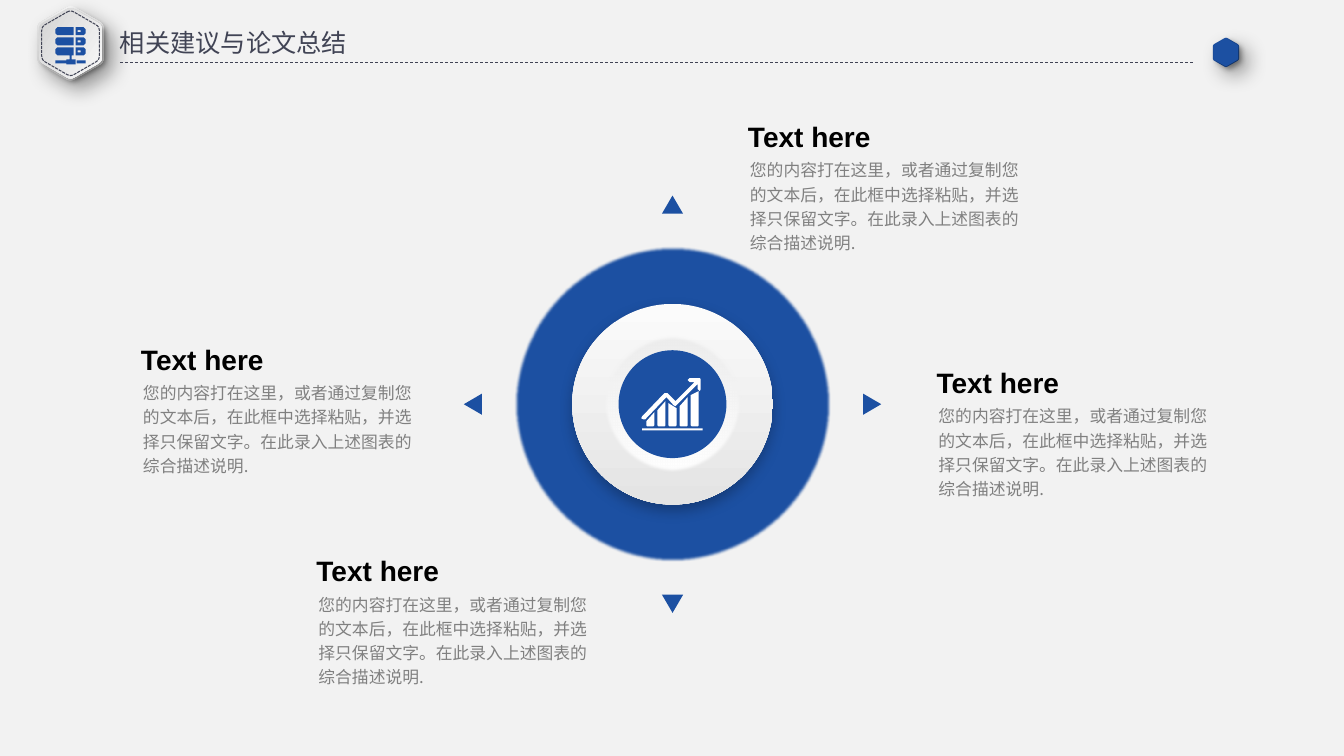
from math import cos, radians, sin

from lxml import etree
from pptx import Presentation
from pptx.dml.color import RGBColor
from pptx.enum import dml, shapes, text
from pptx.oxml import ns
from pptx.util import Inches, Pt

BLUE = RGBColor(0x1C, 0x50, 0xA2)
SLATE = RGBColor(0x41, 0x44, 0x55)
GRAY = RGBColor(0x80, 0x80, 0x80)
BLACK = RGBColor(0, 0, 0)
WHITE = RGBColor(0xFF, 0xFF, 0xFF)
PAPER = RGBColor(0xF2, 0xF2, 0xF2)
SILVER = RGBColor(0xD3, 0xD3, 0xD3)
PEARL = RGBColor(0xF9, 0xF9, 0xF9)
SNOW = RGBColor(0xFB, 0xFB, 0xFB)
MIST = RGBColor(0xE4, 0xE4, 0xE4)
CLOUD = RGBColor(0xEC, 0xEC, 0xEC)

HEAD = "Text here"
BODY = "您的内容打在这里，或者通过复制您的文本后，在此框中选择粘贴，并选择只保留文字。在此录入上述图表的综合描述说明."
HUB = (6.67, 4.01)
SPOTS = [(1.3, 3.33), (9.19, 3.56), (7.32, 1.12), (3.04, 5.43)]
FAR = (40, 15, 9, 45)
NEAR = (40, 4, 3, 45)


def box(x1, y1, x2, y2):
    return [(x1, y1), (x2, y1), (x2, y2), (x1, y2)]


def hexagon(cx, cy, size):
    """Points of a pointed-top hexagon with rounded corners."""
    tips = [(cx + size * sin(radians(a)), cy - size * cos(radians(a)))
            for a in range(0, 360, 60)]
    pts = []
    for i, tip in enumerate(tips):
        ends = tips[i - 1], tips[(i + 1) % 6]
        (ax, ay), (bx, by) = [(tip[0] + 0.12 * (e[0] - tip[0]),
                               tip[1] + 0.12 * (e[1] - tip[1])) for e in ends]
        for t in (0, 0.25, 0.5, 0.75, 1):
            p, q, r = (1 - t) ** 2, 2 * t * (1 - t), t * t
            pts.append((p * ax + q * tip[0] + r * bx, p * ay + q * tip[1] + r * by))
    return pts


class Deck:
    sans = "Noto Sans CJK SC"
    latin = "Arial"

    def __init__(self):
        self.prs = Presentation()
        self.prs.slide_width, self.prs.slide_height = Inches(13.33), Inches(7.5)
        self.slide = self.prs.slides.add_slide(self.prs.slide_layouts[5])
        self.slide.background.fill.solid()
        self.slide.background.fill.fore_color.rgb = PAPER

    def paint(self, shape, fill, angle=270, shadow=None, soft=0):
        """Fill with a colour, a pair of gradient colours or nothing; add effects."""
        shape.shadow.inherit = False
        shape.line.fill.background()
        if fill is None:
            shape.fill.background()
        elif isinstance(fill, RGBColor):
            shape.fill.solid()
            shape.fill.fore_color.rgb = fill
        else:
            shape.fill.gradient()
            shape.fill.gradient_angle = angle
            for stop, color in zip(shape.fill.gradient_stops, fill):
                stop.color.rgb = color
        fx = shape._element.spPr.find(ns.qn("a:effectLst"))
        if shadow:
            alpha, blur, dist, way = shadow
            drop = etree.SubElement(
                fx, ns.qn("a:outerShdw"), blurRad=str(Pt(blur)), dist=str(Pt(dist)),
                dir=str(way * 60000), algn="ctr", rotWithShape="0")
            tone = etree.SubElement(drop, ns.qn("a:srgbClr"), val="000000")
            etree.SubElement(tone, ns.qn("a:alpha"), val=str(alpha * 1000))
        if soft:
            etree.SubElement(fx, ns.qn("a:softEdge"), rad=str(Inches(soft)))
        return shape

    def outline(self, loops, fill, **look):
        """Draw closed polygons as one shape; inner loops become holes."""
        pen = None
        for loop in loops:
            pts = [(Inches(x), Inches(y)) for x, y in loop]
            if pen is None:
                pen = self.slide.shapes.build_freeform(*pts[0])
            else:
                pen.move_to(*pts[0])
            pen.add_line_segments(pts[1:], close=True)
        return self.paint(pen.convert_to_shape(), fill, **look)

    def preset(self, kind, mid, w, h, fill, turn=0, **look):
        shape = self.slide.shapes.add_shape(
            kind, Inches(mid[0] - w / 2), Inches(mid[1] - h / 2), Inches(w), Inches(h))
        shape.rotation = turn
        return self.paint(shape, fill, **look)

    def disc(self, size, fill, **look):
        self.preset(shapes.MSO_SHAPE.OVAL, HUB, size, size, fill, **look)

    def dash(self, line, width, style):
        line.color.rgb = SLATE
        line.width = Pt(width)
        line.dash_style = style

    def rule(self, x1, x2, y):
        line = self.slide.shapes.add_connector(
            shapes.MSO_CONNECTOR.STRAIGHT, Inches(x1), Inches(y), Inches(x2), Inches(y))
        self.dash(line.line, 0.5, dml.MSO_LINE.DASH)
        etree.SubElement(line._element.spPr, ns.qn("a:effectLst"))

    def letter(self, shape, at, words, size, font, color, bold=False, gap=1.0,
               inset=(0.1, 0.05), anchor=text.MSO_ANCHOR.TOP):
        """Place a text shape and set its words and style."""
        shape.left, shape.top, shape.width, shape.height = map(Inches, at)
        frame = shape.text_frame
        frame.text = words
        frame.word_wrap = True
        frame.auto_size = text.MSO_AUTO_SIZE.NONE
        frame.vertical_anchor = anchor
        frame.margin_left = frame.margin_right = Inches(inset[0])
        frame.margin_top = frame.margin_bottom = Inches(inset[1])
        para = frame.paragraphs[0]
        para.alignment = text.PP_ALIGN.LEFT
        para.line_spacing = gap
        run = para.runs[0]
        run.font.size, run.font.bold = Pt(size), bold
        run.font.color.rgb = color
        run.font.name = font
        etree.SubElement(run._r.get_or_add_rPr(), ns.qn("a:ea"), typeface=font)

    def title(self, words):
        self.letter(self.slide.shapes.title, (1.12, 0.23, 2.86, 0.38), words, 18,
                    self.sans, SLATE, inset=(0.07, 0.04))

    def label(self, x, y):
        add = self.slide.shapes.add_textbox
        self.letter(add(0, 0, 0, 0), (x + 0.02, y + 0.38, 2.96, 1.07), BODY, 12,
                    self.sans, GRAY, gap=1.2)
        self.letter(add(0, 0, 0, 0), (x, y, 3.15, 0.46), HEAD, 20,
                    self.latin, BLACK, bold=True, anchor=text.MSO_ANCHOR.MIDDLE)

    def server(self):
        loops = [box(0.76, 0.6, 0.85, 0.63), box(0.55, 0.6, 0.75, 0.63),
                 box(0.66, 0.63, 0.75, 0.64), box(0.66, 0.59, 0.75, 0.6),
                 box(0.69, 0.55, 0.71, 0.59)]
        for y in (0.27, 0.37, 0.47):
            low = y + 0.08
            loops += [
                [(0.57, y), (0.73, y), (0.73, low), (0.57, low),
                 (0.55, low - 0.02), (0.55, y + 0.02)],
                [(0.75, y), (0.83, y), (0.85, y + 0.02), (0.85, low - 0.02),
                 (0.83, low), (0.75, low)],
                box(0.77, y + 0.03, 0.8, y + 0.05)]
        self.outline(loops, BLUE)

    def growth(self):
        self.preset(shapes.MSO_SHAPE.RECTANGLE, (6.67, 4.26), 0.6, 0.02, WHITE)
        bars = [(4.18, 4.09), (4.07, 3.98), (4.0, 4.05), (4.03, 3.94), (3.92, 3.88)]
        for i, (left, right) in enumerate(bars):
            x = 6.41 + 0.11 * i
            end = x + 0.08
            self.outline([[(x, left), (end, right), (end, 4.22), (end - 0.01, 4.23),
                           (x + 0.01, 4.23), (x, 4.22)]], WHITE)
        self.outline([[(6.4, 4.16), (6.61, 3.94), (6.68, 4.02), (6.7, 4.03), (6.71, 4.02),
                       (6.92, 3.81), (6.92, 3.86), (6.94, 3.88), (6.95, 3.86),
                       (6.95, 3.76), (6.94, 3.75), (6.84, 3.75), (6.82, 3.77),
                       (6.84, 3.79), (6.89, 3.79), (6.7, 3.98), (6.62, 3.9),
                       (6.59, 3.9), (6.37, 4.13), (6.36, 4.15), (6.38, 4.16)]], WHITE)


def main():
    deck = Deck()
    pale = (SILVER, PEARL)
    deck.outline([hexagon(0.7, 0.43, 0.38)], pale, angle=59, shadow=FAR)
    deck.outline([hexagon(0.7, 0.43, 0.36)], pale, angle=329, shadow=NEAR)
    rim = deck.outline([hexagon(0.7, 0.43, 0.33)], None)
    deck.dash(rim.line, 0.75, dml.MSO_LINE.SQUARE_DOT)
    deck.title("相关建议与论文总结")
    deck.rule(1.19, 11.83, 0.62)
    for size, shadow in ((0.15, FAR), (0.14, NEAR)):
        deck.outline([hexagon(12.16, 0.52, size)], BLUE, shadow=shadow)
    deck.server()

    deck.disc(3.13, BLUE, soft=0.03)
    deck.disc(1.99, (SNOW, MIST), shadow=(25, 10, 4, 90))
    deck.disc(1.36, (CLOUD, WHITE), soft=0.03)
    deck.disc(1.07, BLUE)
    deck.growth()

    for turn in range(0, 360, 90):
        mid = (HUB[0] + 1.98 * sin(radians(turn)), HUB[1] - 1.98 * cos(radians(turn)))
        deck.preset(shapes.MSO_SHAPE.ISOSCELES_TRIANGLE, mid, 0.21, 0.18, BLUE, turn=turn)
    for spot in SPOTS:
        deck.label(*spot)
    deck.prs.save("out.pptx")


if __name__ == "__main__":
    main()
